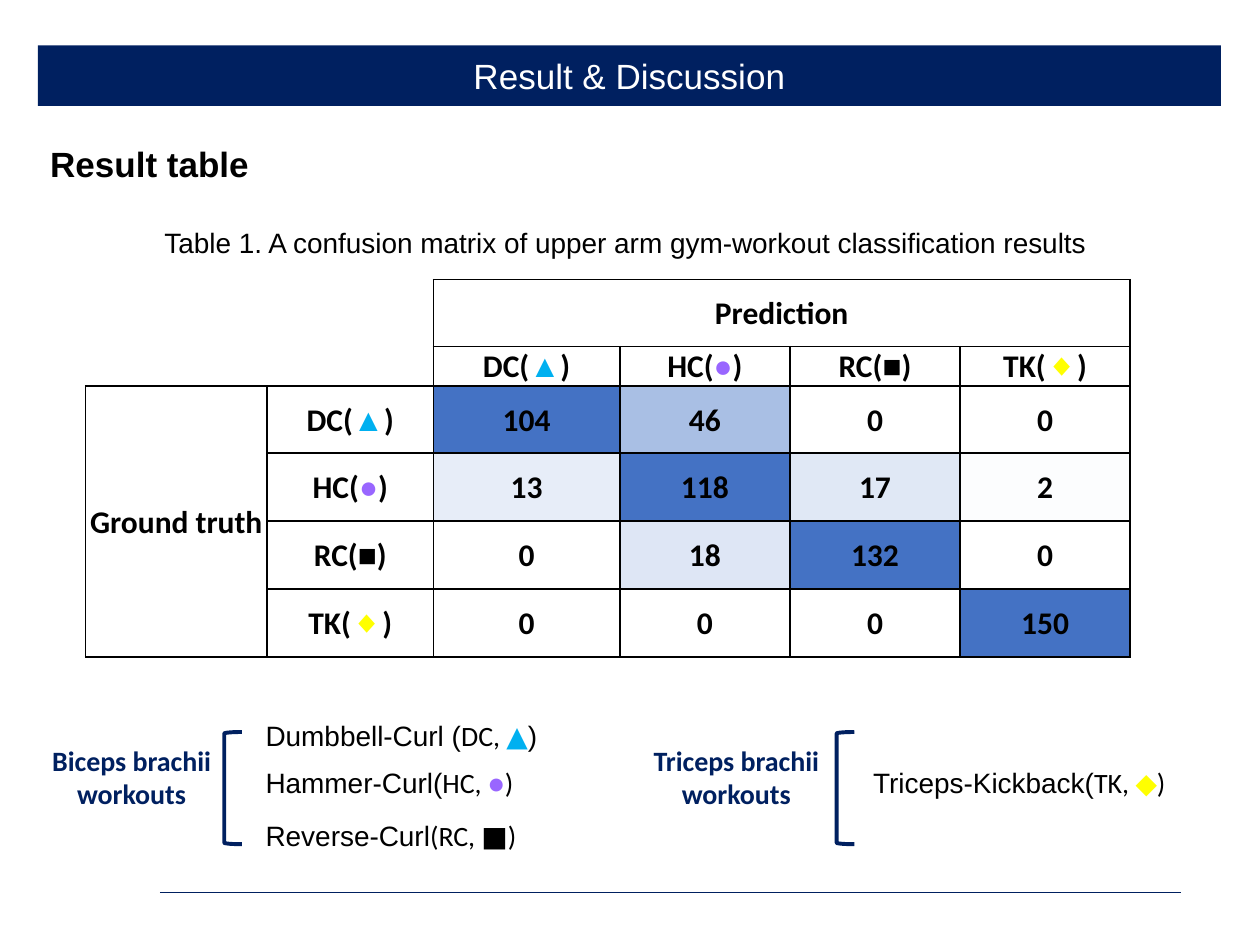
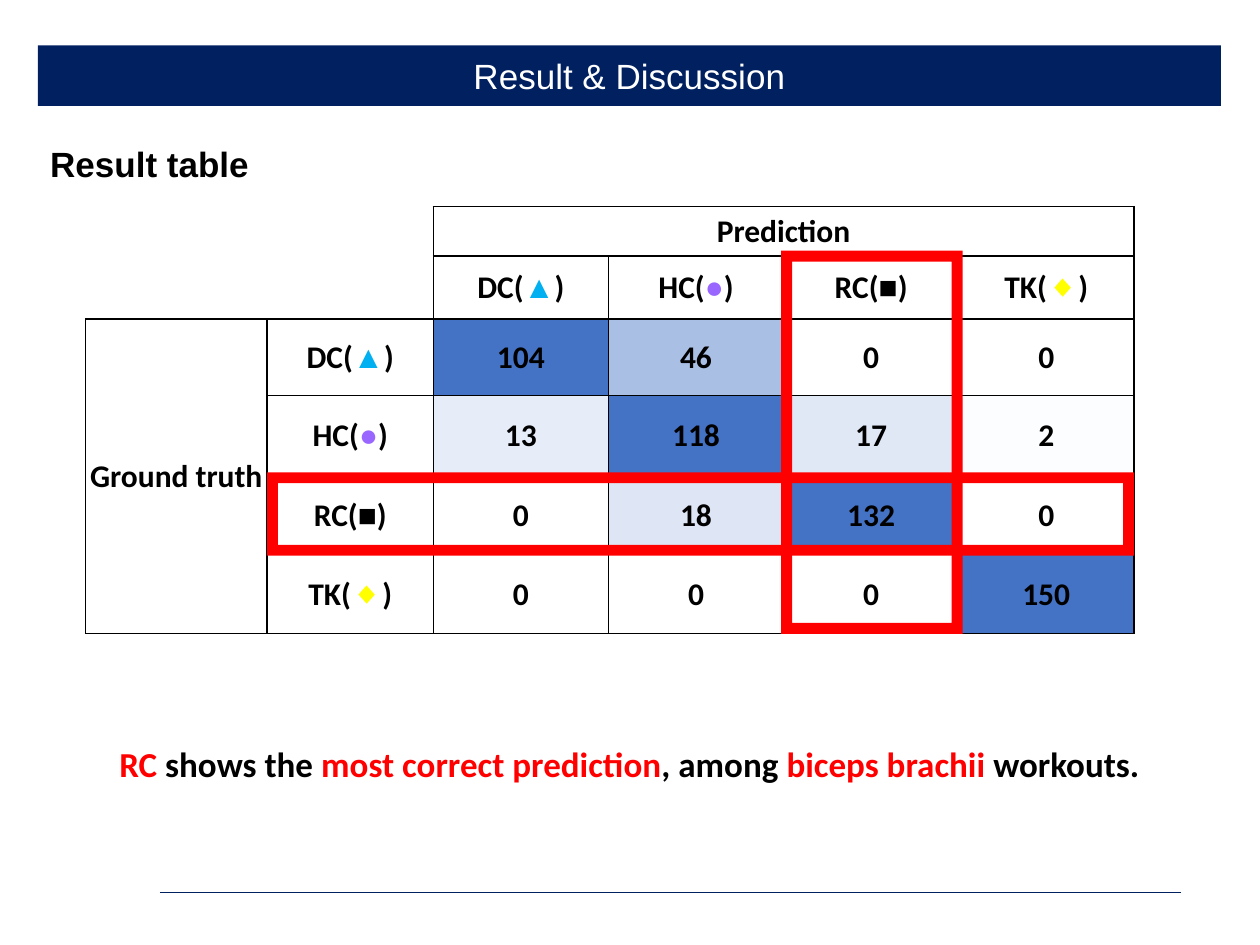
from dataclasses import dataclass
from math import ceil

from lxml import etree
from pptx import Presentation
from pptx.dml.color import RGBColor as Color
from pptx.enum.shapes import MSO_CONNECTOR as Connector, MSO_SHAPE as Shape
from pptx.enum.text import MSO_ANCHOR as Anchor, PP_ALIGN as Align
from pptx.oxml.ns import qn
from pptx.util import Inches, Pt


@dataclass(frozen=True)
class Theme:
    navy: str = "002060"
    black: str = "000000"
    white: str = "FFFFFF"
    red: str = "FF0000"
    heat: str = "4472C4"
    cyan: str = "00B0F0"
    violet: str = "9966FF"
    yellow: str = "FFFF00"
    sans: str = "Arial"
    body: str = "Calibri"
    title_size: int = 20
    table_size: int = 18
    text_size: int = 16


theme = Theme()


def write(frame, *paragraphs, size=theme.text_size, font=theme.sans, color=theme.black,
          bold=False, align=Align.CENTER, anchor=Anchor.TOP, wrap=True):
    """Fill a frame; a paragraph is a string or a list of (text, font, colour) runs."""
    frame.word_wrap = wrap
    frame.vertical_anchor = anchor
    for index, runs in enumerate(paragraphs):
        paragraph = frame.add_paragraph() if index else frame.paragraphs[0]
        paragraph.alignment = align
        for text, run_font, run_color in [(runs, font, color)] if isinstance(runs, str) else runs:
            run = paragraph.add_run()
            run.text = text
            run.font.name = run_font
            run.font.size = Pt(size)
            run.font.bold = bold
            run.font.color.rgb = Color.from_string(run_color)


def add_item(slide, bounds, kind=None, fill=None, line=None, width=0):
    """Add a text box, or a preset shape when a kind is given."""
    bounds = [Inches(value) for value in bounds]
    if kind is None:
        return slide.shapes.add_textbox(*bounds)
    shape = slide.shapes.add_shape(kind, *bounds)
    shape.shadow.inherit = False
    if fill:
        shape.fill.solid()
        shape.fill.fore_color.rgb = Color.from_string(fill)
    else:
        shape.fill.background()
    if line:
        shape.line.color.rgb = Color.from_string(line)
        shape.line.width = Pt(width)
    else:
        shape.line.fill.background()
    return shape


presentation = Presentation()
presentation.slide_width = Inches(10)
presentation.slide_height = Inches(7.5)

# Confusion matrix: classes, their markers, and counts by true class
markers = {"DC": ("▲", theme.cyan), "HC": ("●", theme.violet),
           "RC": ("■", theme.black), "TK": ("◆", theme.yellow)}
counts = [[104, 46, 0, 0], [13, 118, 17, 2], [0, 18, 132, 0], [0, 0, 0, 150]]
labels = [[(f"{name}(", theme.body, theme.black), (symbol, theme.sans, color),
           (")", theme.body, theme.black)] for name, (symbol, color) in markers.items()]

table_text = {(0, 2): "Prediction", (2, 0): "Ground truth"}
for i, label in enumerate(labels):
    table_text[1, i + 2] = label
    table_text[i + 2, 1] = label
    for j, count in enumerate(counts[i]):
        table_text[i + 2, j + 2] = str(count)

# Table top, column widths and row heights for each slide
layouts = [
    (2.22, [1.44, 1.32, 1.48, 1.35, 1.35, 1.35], [0.53, 0.31, 0.53, 0.54, 0.54, 0.54]),
    (1.64, [1.44, 1.32] + [1.39] * 4, [0.39, 0.5, 0.61, 0.63, 0.63, 0.63]),
]

for top, widths, heights in layouts:
    slide = presentation.slides.add_slide(presentation.slide_layouts[6])

    # Table grid
    table = slide.shapes.add_table(6, 6, Inches(0.68), Inches(top),
                                   Inches(sum(widths)), Inches(sum(heights))).table
    table.first_row = table.horz_banding = False
    for column, width in zip(table.columns, widths):
        column.width = Inches(width)
    for row, height in zip(table.rows, heights):
        row.height = Inches(height)
    table.cell(0, 2).merge(table.cell(0, 5))
    table.cell(2, 0).merge(table.cell(5, 0))

    for r in range(6):
        for c in range(6):
            cell = table.cell(r, c)
            cell.margin_left = cell.margin_right = cell.margin_top = Inches(0.01)
            cell.margin_bottom = 0
            cell.vertical_anchor = Anchor.MIDDLE
            if (r, c) in table_text:
                write(cell.text_frame, table_text[r, c], size=theme.table_size,
                      font=theme.body, bold=True)
                cell.vertical_anchor = Anchor.MIDDLE

            # Counts from 0 to 100 shade from white to the heat colour
            share = min(counts[r - 2][c - 2], 100) if r > 1 and c > 1 else 0
            cell.fill.solid()
            cell.fill.fore_color.rgb = Color(*(
                ceil((255 * (100 - share) + channel * share) / 100)
                for channel in Color.from_string(theme.heat)))

            # Only the outer edges of the empty corner are drawn
            corner = r < 2 and c < 2
            drawn = {"L": not corner, "R": not corner or c == 1,
                     "T": not corner, "B": not corner or r == 1}
            properties = cell._tc.get_or_add_tcPr()
            for position, (side, visible) in enumerate(drawn.items()):
                border = etree.Element(qn(f"a:ln{side}"), w=str(Pt(1)))
                if visible:
                    paint = etree.SubElement(border, qn("a:solidFill"))
                    etree.SubElement(paint, qn("a:srgbClr"), val=theme.black)
                else:
                    etree.SubElement(border, qn("a:noFill"))
                properties.insert(position, border)

    # Footer rule
    rule = slide.shapes.add_connector(Connector.STRAIGHT, Inches(1.27), Inches(7.08),
                                      Inches(9.37), Inches(7.08))
    rule.line.color.rgb = Color.from_string(theme.navy)
    rule.line.width = Pt(0.25)
    etree.SubElement(rule._element.spPr, qn("a:effectLst"))

    # Title band and heading
    band = add_item(slide, (0.3, 0.36, 9.39, 0.48), Shape.RECTANGLE, fill=theme.navy)
    write(band.text_frame, "Result & Discussion", size=theme.title_size,
          color=theme.white, anchor=Anchor.MIDDLE)
    band.text_frame.paragraphs[0].space_after = Pt(6)
    heading = add_item(slide, (0.3, 1.08, 5, 0.44))
    write(heading.text_frame, "Result table", size=theme.title_size, bold=True, align=Align.LEFT)

matrix_slide, finding_slide = presentation.slides

# Matrix slide: caption
caption = add_item(matrix_slide, (0.3, 1.74, 9.39, 0.37))
write(caption.text_frame,
      "Table 1. A confusion matrix of upper arm gym-workout classification results ")

# Matrix slide: workouts with their class and marker
workouts = [
    ("Dumbbell-Curl (", "DC, ", theme.sans, (2.01, 5.65, 2.73, 0.37), Align.JUSTIFY),
    ("Hammer-Curl(", "HC, ", theme.body, (2.01, 6.03, 2.73, 0.37), Align.JUSTIFY),
    ("Reverse-Curl", "(RC, ", theme.body, (2.01, 6.45, 2.73, 0.37), Align.JUSTIFY),
    ("Triceps-Kickback(", "TK, ", theme.body, (6.49, 6.03, 3.2, 0.37), Align.CENTER),
]
for (name, code, closing_font, bounds, align), (symbol, color) in zip(workouts, markers.values()):
    workout = add_item(matrix_slide, bounds)
    write(workout.text_frame,
          [(name, theme.sans, theme.black), (code, theme.body, theme.black),
           (symbol, theme.body, color), (")", closing_font, theme.black)], align=align)

# Matrix slide: muscle groups and brackets
for muscle, left, width, bracket_left, wrap in [("Biceps brachii", 0.3, 1.49, 1.78, True),
                                                ("Triceps brachii", 5.08, 1.53, 6.64, False)]:
    group = add_item(matrix_slide, (left, 5.85, width, 0.64))
    write(group.text_frame, muscle, "workouts", font=theme.body, color=theme.navy,
          bold=True, wrap=wrap)
    add_item(matrix_slide, (bracket_left, 5.81, 0.14, 0.89), Shape.LEFT_BRACKET,
             line=theme.navy, width=2.25)

# Finding slide: frames around the RC column and row
for bounds, thickness in [((6.2, 1.99, 1.44, 3.04), 0.06), ((2.12, 3.75, 6.88, 0.66), 0.13)]:
    highlight = add_item(finding_slide, bounds, Shape.FRAME, fill=theme.red)
    highlight.adjustments[0] = thickness

# Finding slide: conclusion
conclusion = add_item(finding_slide, (0.3, 5.84, 9.39, 0.44))
write(conclusion.text_frame,
      [(text, theme.body, color) for text, color in [
          ("RC ", theme.red), ("shows the ", theme.black),
          ("most correct prediction", theme.red), (", among ", theme.black),
          ("biceps brachii", theme.red), (" workouts.", theme.black)]],
      size=theme.title_size, bold=True)

presentation.save("out.pptx")
